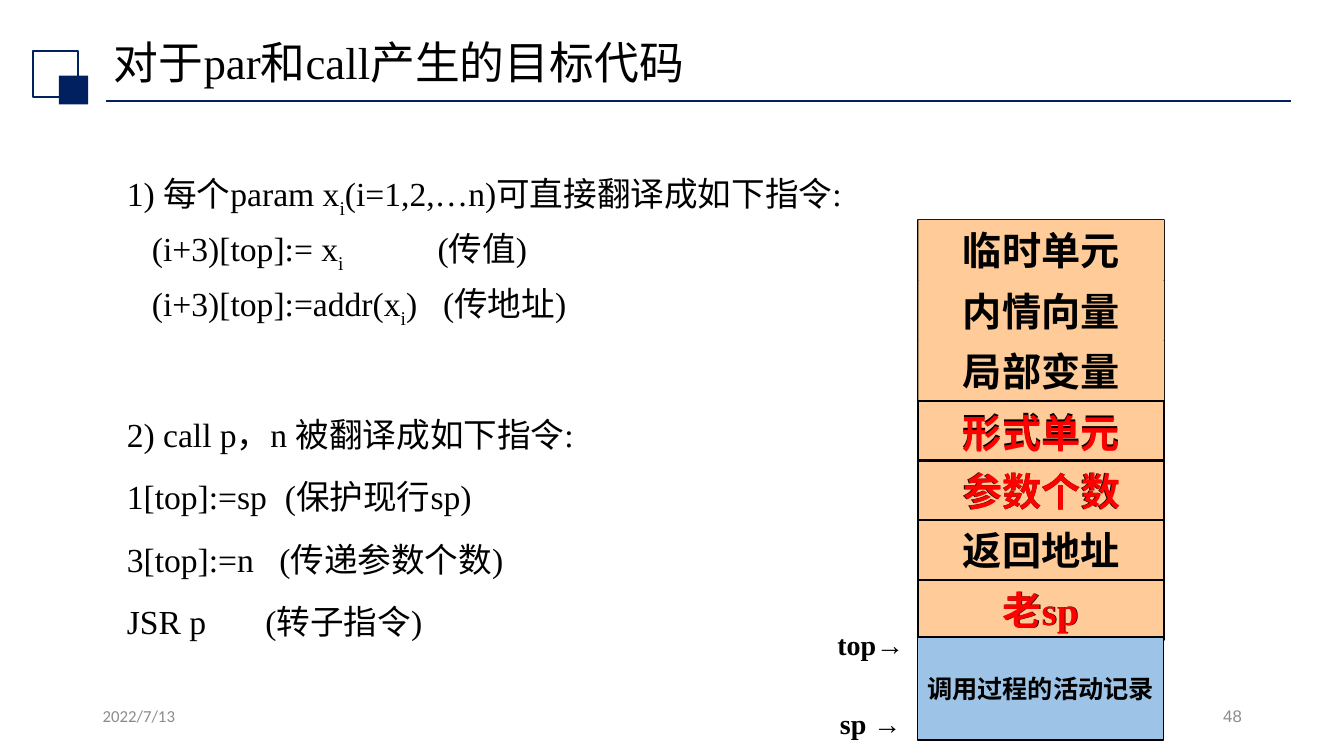
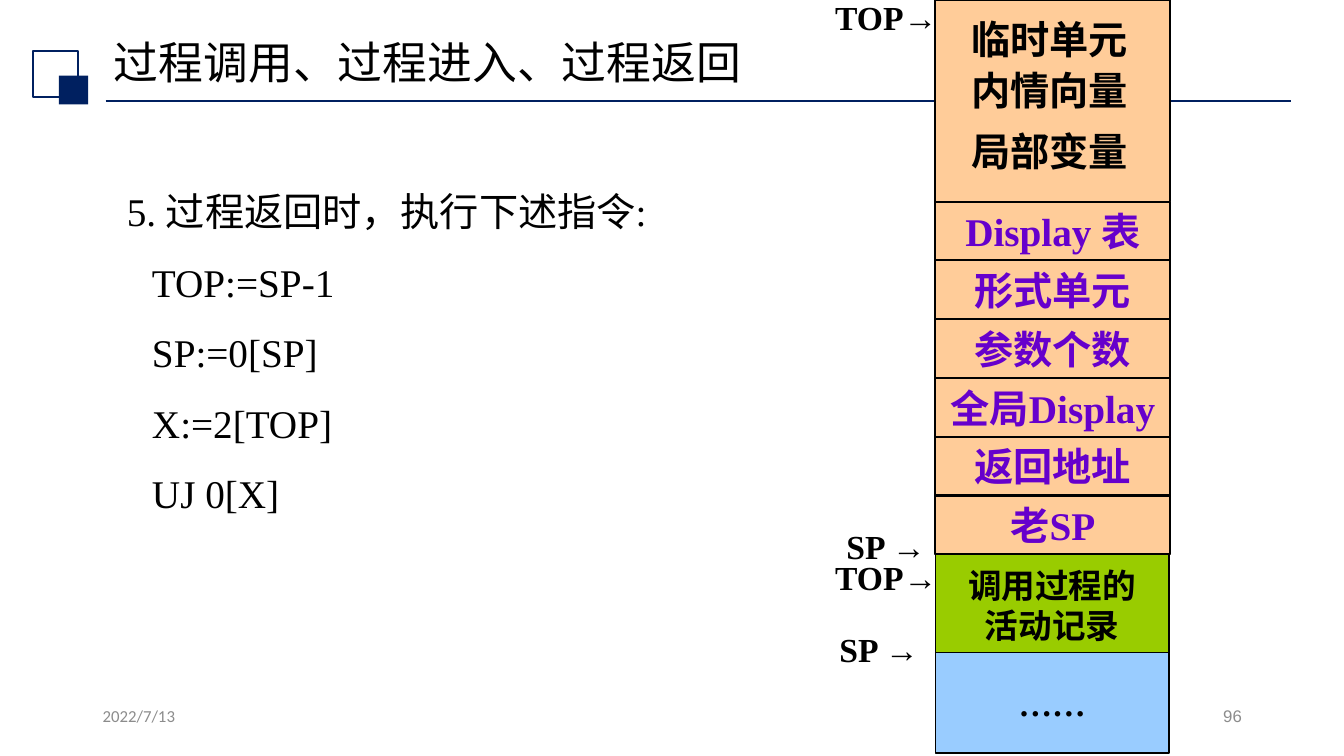
from lxml import etree
from pptx import Presentation
from pptx.dml.color import RGBColor
from pptx.enum.lang import MSO_LANGUAGE_ID
from pptx.enum.shapes import MSO_CONNECTOR, MSO_SHAPE
from pptx.enum.text import MSO_ANCHOR, PP_ALIGN
from pptx.oxml.ns import qn
from pptx.util import Pt

RECT = MSO_SHAPE.RECTANGLE
STRAIGHT = MSO_CONNECTOR.STRAIGHT
CHINESE = MSO_LANGUAGE_ID.SIMPLIFIED_CHINESE
LEFT, CENTER, RIGHT = PP_ALIGN.LEFT, PP_ALIGN.CENTER, PP_ALIGN.RIGHT
TOP, MIDDLE = MSO_ANCHOR.TOP, MSO_ANCHOR.MIDDLE

SERIF = "Times New Roman"
NAVY, BLACK, GRAY = "002060", "000000", "8C8C8C"
PEACH, RED, PURPLE = "FFCC99", "FF0000", "6600CC"
DATE = "2022/7/13"

SLIDES = [
    {
        "title": "对于par和call产生的目标代码",
        "number": "48",
        "size": 24,
        "spacing": 1.2,
        "body": [
            ("1) 每个param x|i|(i=1,2,…n)可直接翻译成如下指令:", 10, ()),
            ("\t(i+3)[top]:= x|i|\t(传值)", 0, (18, 222)),
            ("\t(i+3)[top]:=addr(x|i|)\t(传地址)", 0, (18, 226)),
            ("2) call p，n 被翻译成如下指令:", 55, ()),
            ("1[top]:=sp\t(保护现行sp)", 10, (113,)),
            ("3[top]:=n\t(传递参数个数)", 10, (109,)),
            ("JSR p\t(转子指令)", 10, (99,)),
        ],
        "stack": [
            {"cells": [""], "at": (656, 157, 175.5, 300), "fill": PEACH, "line": 1.5},
            {"cells": ["临时单元", "内情向量", "局部变量"],
             "at": (656, 157, 175.5, 43.2), "pitch": 43.2, "fill": PEACH},
            {"cells": ["形式单元", "参数个数", "返回地址", "老sp"],
             "at": (656, 286.5, 175.5, 42.5), "pitch": 42.5, "fill": PEACH, "line": 1.5},
            {"cells": ["调用过程的活动记录"], "at": (655.5, 455, 175.5, 73.5),
             "fill": "9DC3E6", "line": 1, "size": 18},
            {"cells": ["形式单元"], "at": (656, 287.5, 175.5, 43), "color": RED},
            {"cells": ["参数个数"], "at": (656.5, 329, 175.5, 43), "color": RED},
            {"cells": ["老sp"], "at": (655.5, 414, 175.5, 43), "color": RED},
        ],
        "pointer_size": 20,
        "pointers": [("top→", 622, 460.5), ("sp →", 622, 516.5)],
    },
    {
        "title": "过程调用、过程进入、过程返回",
        "number": "96",
        "size": 28,
        "spacing": 1.5,
        "body": [
            ("5. 过程返回时，执行下述指令:", 10, ()),
            ("\tTOP:=SP-1", 0, (18,)),
            ("\tSP:=0[SP]", 0, (18,)),
            ("\tX:=2[TOP]", 0, (18,)),
            ("\tUJ 0[X]", 0, (18,)),
        ],
        "stack": [
            {"cells": [""], "at": (668, 0, 168, 396), "fill": PEACH, "line": 1.5},
            {"cells": ["临时单元", "内情向量"], "at": (672, 6, 155.5, 43),
             "pitch": 37, "fill": PEACH},
            {"cells": ["局部变量"], "at": (672, 86, 155.5, 43), "fill": PEACH},
            {"cells": ["Display 表", "形式单元", "参数个数", "全局Display", "返回地址", "老SP"],
             "at": (668, 144, 168, 42), "pitch": 42, "fill": PEACH, "line": 1.5,
             "color": PURPLE},
            {"cells": ["调用过程的\n活动记录", "……"], "at": (668, 396, 167, 72),
             "pitch": 70, "fills": ["99CC00", "99CCFF"], "line": 1, "size": 24},
        ],
        "pointer_size": 24,
        "pointers": [("TOP→", 633, 12), ("SP →", 633, 390),
                     ("TOP→", 633, 412), ("SP →", 628, 463.5)],
    },
]


def rgb(color):
    return RGBColor.from_string(color)


def add_run(paragraph, text, size, color=BLACK, bold=False, font=SERIF):
    run = paragraph.add_run()
    run.text = text
    run.font.size = Pt(size)
    run.font.name = font
    run.font.bold = bold
    run.font.color.rgb = rgb(color)
    run.font.language_id = CHINESE
    return run


def write(shape, text, size, align=LEFT, anchor=MIDDLE, wrap=True, spacing=None, **style):
    frame = shape.text_frame
    frame.word_wrap = wrap
    frame.vertical_anchor = anchor
    for index, line in enumerate(text.split("\n")):
        paragraph = frame.add_paragraph() if index else frame.paragraphs[0]
        paragraph.alignment = align
        if spacing:
            paragraph.line_spacing = spacing
        add_run(paragraph, line, size, **style)


def add_text(slide, box, *args, **style):
    write(slide.shapes.add_textbox(*map(Pt, box)), *args, **style)


def add_box(slide, box, fill=None, line=None, line_color=BLACK):
    shape = slide.shapes.add_shape(RECT, *map(Pt, box))
    shape.shadow.inherit = False
    if fill:
        shape.fill.solid()
        shape.fill.fore_color.rgb = rgb(fill)
    else:
        shape.fill.background()
    if line:
        shape.line.color.rgb = rgb(line_color)
        shape.line.width = Pt(line)
    else:
        shape.line.fill.background()
    return shape


def add_frame(slide, title, number):
    rule = slide.shapes.add_connector(STRAIGHT, Pt(75.5), Pt(72.3), Pt(922.5), Pt(72.3))
    rule.line.color.rgb = rgb(NAVY)
    rule.line.width = Pt(1.5)
    etree.SubElement(rule._element.spPr, qn("a:effectLst"))
    add_box(slide, (23.5, 36.5, 32.5, 32.5), line=1.5, line_color=NAVY)
    add_box(slide, (42, 54, 21, 20.5), fill=NAVY)
    add_text(slide, (74.2, 24.5, 828, 44), title, 32, spacing=0.9)
    add_text(slide, (66.2, 500.4, 216, 28.8), DATE, 12, anchor=TOP,
             color=GRAY, font="Calibri")
    add_text(slide, (678.2, 500.4, 216, 28.8), number, 12, align=RIGHT, anchor=TOP,
             color=GRAY, font="Arial")


def set_tabs(paragraph, stops):
    tabs = etree.SubElement(paragraph._p.get_or_add_pPr(), qn("a:tabLst"))
    for stop in stops:
        etree.SubElement(tabs, qn("a:tab"), pos=str(Pt(stop)), algn="l")


def add_body(slide, lines, size, spacing):
    frame = slide.shapes.add_textbox(Pt(83.5), Pt(113.5), Pt(770), Pt(360)).text_frame
    frame.word_wrap = True
    for index, (text, before, stops) in enumerate(lines):
        paragraph = frame.add_paragraph() if index else frame.paragraphs[0]
        paragraph.line_spacing = spacing
        paragraph.space_before = Pt(before)
        if stops:
            set_tabs(paragraph, stops)
        for position, part in enumerate(text.split("|")):
            run = add_run(paragraph, part, size)
            if position % 2:
                run.font._element.set("baseline", "-25000")


def add_stack(slide, groups):
    for group in groups:
        left, top, width, height = group["at"]
        cells = group["cells"]
        fills = group.get("fills", [group.get("fill")] * len(cells))
        for index, (label, fill) in enumerate(zip(cells, fills)):
            box = (left, top + index * group.get("pitch", 0), width, height)
            cell = add_box(slide, box, fill, group.get("line"))
            if label:
                write(cell, label, group.get("size", 28), align=CENTER, wrap=False,
                      color=group.get("color", BLACK), bold=True)


def add_pointers(slide, pointers, size):
    width, height = 102, 24
    for label, center, middle in pointers:
        add_text(slide, (center - width / 2, middle - height / 2, width, height),
                 label, size, align=CENTER, wrap=False, bold=True)


def main():
    deck = Presentation()
    deck.slide_width, deck.slide_height = Pt(960), Pt(540)
    for content in SLIDES:
        slide = deck.slides.add_slide(deck.slide_layouts[6])
        add_frame(slide, content["title"], content["number"])
        add_body(slide, content["body"], content["size"], content["spacing"])
        add_stack(slide, content["stack"])
        add_pointers(slide, content["pointers"], content["pointer_size"])
    deck.save("out.pptx")


if __name__ == "__main__":
    main()
